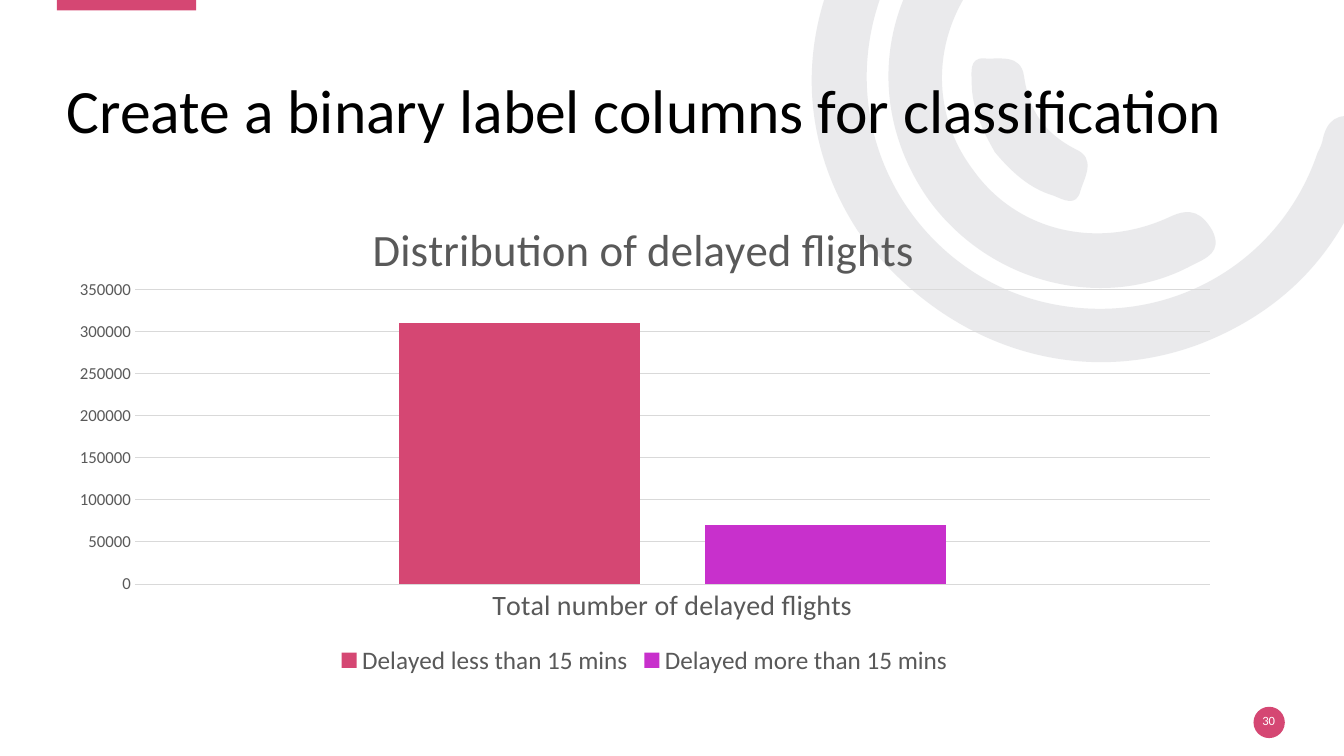
from math import cos, radians, sin

from lxml import etree
from pptx import Presentation
from pptx.chart.data import CategoryChartData
from pptx.dml.color import RGBColor
from pptx.enum.chart import XL_CHART_TYPE, XL_LEGEND_POSITION, XL_TICK_MARK
from pptx.enum.shapes import MSO_SHAPE
from pptx.enum.text import MSO_ANCHOR, PP_ALIGN
from pptx.oxml import parse_xml
from pptx.oxml.ns import nsdecls, qn
from pptx.util import Cm, Pt

COLUMNS = XL_CHART_TYPE.COLUMN_CLUSTERED
BOTTOM = XL_LEGEND_POSITION.BOTTOM
NO_TICKS = XL_TICK_MARK.NONE
RECT, OVAL = MSO_SHAPE.RECTANGLE, MSO_SHAPE.OVAL
MIDDLE = MSO_ANCHOR.MIDDLE
LEFT, CENTER = PP_ALIGN.LEFT, PP_ALIGN.CENTER

FONT = "Calibri"
PINK, PURPLE = "D54773", "C830CC"
GRAY, GRID, ARC = "595959", "D9D9D9", "D8D9DC"
CM_PER_INCH = 2.54
ARC_TURN = 144.2
CHART_W, CHART_H = 29.64, 12.4

# Frame before turning, then the turned outline: a start point and cubic
# curves (two handles and an end point), all in inches.
OUTER_ARC = (8.13, -2.02, 4.85, 6), [
    (8.51, 2.29),
    (7.99, 1.49), (7.87, 0.5), (8.38, -0.5),
    (8.9, -1.52), (9.76, -2.03), (10.9, -2.07),
    (11.05, -2.07), (11.21, -2.1), (11.31, -1.95),
    (11.44, -1.75), (11.27, -1.54), (10.98, -1.54),
    (9.67, -1.54), (8.65, -0.59), (8.6, 0.68),
    (8.56, 1.81), (9.36, 2.81), (10.46, 3.02),
    (11.6, 3.24), (12.7, 2.61), (13.07, 1.52),
    (13.09, 1.48), (13.11, 1.44), (13.12, 1.4),
    (13.16, 1.19), (13.27, 1.11), (13.49, 1.17),
    (13.73, 1.24), (13.67, 1.41), (13.61, 1.56),
    (13.34, 2.45), (12.78, 3.07), (11.91, 3.41),
    (10.7, 3.87), (9.36, 3.45), (8.51, 2.29),
]
MIDDLE_ARC = (9.01, -0.78, 2.13, 4.26), [
    (9.22, 1.99),
    (8.62, 1.15), (8.69, 0.07), (9.4, -0.68),
    (9.51, -0.79), (9.62, -0.95), (9.8, -0.78),
    (9.95, -0.64), (9.97, -0.5), (9.79, -0.32),
    (9.25, 0.26), (9.2, 1.08), (9.65, 1.68),
    (10.08, 2.29), (10.88, 2.49), (11.61, 2.15),
    (11.82, 2.05), (11.93, 2.12), (12.03, 2.29),
    (12.13, 2.5), (11.97, 2.56), (11.83, 2.63),
    (10.96, 3.1), (9.83, 2.82), (9.22, 1.99),
]
INNER_ARC = (9.8, 0.37, 0.78, 1.83), [
    (9.87, 1.51),
    (9.75, 1.3), (9.64, 1.07), (9.64, 0.82),
    (9.64, 0.73), (9.61, 0.57), (9.76, 0.58),
    (9.92, 0.59), (10.13, 0.53), (10.16, 0.76),
    (10.21, 1.1), (10.36, 1.32), (10.67, 1.48),
    (10.88, 1.57), (10.76, 1.76), (10.72, 1.89),
    (10.68, 2.06), (10.55, 1.98), (10.45, 1.94),
    (10.21, 1.87), (10.03, 1.7), (9.87, 1.51),
]


def rgb(color):
    return RGBColor.from_string(color)


def set_font(font, size, color):
    font.name, font.size, font.bold = FONT, Pt(size), False
    font.color.rgb = rgb(color)


def paint(sp, color):
    sp.shadow.inherit = False
    sp.fill.solid()
    sp.fill.fore_color.rgb = rgb(color)
    sp.line.fill.background()


def turn_back(point, frame):
    """Undo the turn about the frame's centre, measured from its corner."""
    left, top, width, height = frame
    dx, dy = point[0] - left - width / 2, point[1] - top - height / 2
    c, n = cos(radians(ARC_TURN)), sin(radians(ARC_TURN))
    x, y = width / 2 + dx * c + dy * n, height / 2 - dx * n + dy * c
    return Cm(x * CM_PER_INCH), Cm(y * CM_PER_INCH)


def add_arc(s, frame, points, opacity=53):
    local = [turn_back(point, frame) for point in points]
    builder = s.shapes.build_freeform(*local[0])
    builder.add_line_segments(local[3::3], close=True)
    sp = builder.convert_to_shape()
    box = [Cm(v * CM_PER_INCH) for v in frame]
    sp.left, sp.top, sp.width, sp.height = box
    sp.rotation = ARC_TURN
    paint(sp, ARC)
    color = sp.fill._xPr.find(qn("a:solidFill"))[0]
    etree.SubElement(color, qn("a:alpha"), val=str(opacity * 1000))

    outline = next(sp._element.iter(qn("a:path")))
    outline.set("w", str(box[2]))
    outline.set("h", str(box[3]))
    for step in list(outline):
        outline.remove(step)
    for i in range(0, len(local), 3):
        tag = "a:cubicBezTo" if i else "a:moveTo"
        step = etree.SubElement(outline, qn(tag))
        for x, y in local[max(i - 2, 0):i + 1]:
            etree.SubElement(step, qn("a:pt"), x=str(x), y=str(y))
    etree.SubElement(outline, qn("a:close"))


def add_block(s, kind, left, top, width, height):
    sp = s.shapes.add_shape(kind, Cm(left), Cm(top), Cm(width), Cm(height))
    paint(sp, PINK)
    return sp


def add_text(s, box, text, size, color, align):
    sp = s.shapes.add_textbox(*[Cm(v) for v in box])
    tf = sp.text_frame
    tf.word_wrap = True
    tf.vertical_anchor = MIDDLE
    p = tf.paragraphs[0]
    p.alignment = align
    p.line_spacing = 0.9
    r = p.add_run()
    r.text = text
    set_font(r.font, size, color)
    return tf


def chart_layout(left, top, size=()):
    """Return a manual layout for a place in the chart, in centimetres."""
    shares = (left / CHART_W, top / CHART_H)
    target = ""
    if size:
        shares += (size[0] / CHART_W, size[1] / CHART_H)
        target = '<c:layoutTarget val="inner"/>'
    values = "".join(
        f'<c:{tag} val="{share:.4f}"/>' for tag, share in zip("xywh", shares))
    return parse_xml(
        f'<c:layout {nsdecls("c")}><c:manualLayout>{target}'
        '<c:xMode val="edge"/><c:yMode val="edge"/>'
        f'{values}</c:manualLayout></c:layout>'
    )


def put_layout(parent, index, layout):
    for old in parent.findall(qn("c:layout")):
        parent.remove(old)
    parent.insert(index, layout)


def set_line(line, color):
    line.color.rgb = rgb(color)
    line.width = Pt(0.75)


def add_delay_chart(s):
    data = CategoryChartData()
    data.categories = ["Total number of delayed flights"]
    data.add_series("Delayed less than 15 mins", [310000])
    data.add_series("Delayed more than 15 mins", [70000])
    chart = s.shapes.add_chart(
        COLUMNS, Cm(1.42), Cm(4.75), Cm(CHART_W), Cm(CHART_H), data).chart
    set_font(chart.font, 10, "000000")

    chart.has_title = True
    r = chart.chart_title.text_frame.paragraphs[0].add_run()
    r.text = "Distribution of delayed flights"
    set_font(r.font, 32, GRAY)
    put_layout(chart.chart_title._element, 1, chart_layout(7.77, 0.54))

    chart.has_legend = True
    chart.legend.position = BOTTOM
    chart.legend.include_in_layout = False
    set_font(chart.legend.font, 18, GRAY)

    for axis, size in ((chart.category_axis, 20), (chart.value_axis, 12)):
        axis.major_tick_mark = axis.minor_tick_mark = NO_TICKS
        set_font(axis.tick_labels.font, size, GRAY)
    set_line(chart.category_axis.format.line, GRID)
    chart.value_axis.format.line.fill.background()
    set_line(chart.value_axis.major_gridlines.format.line, GRID)

    plot = chart.plots[0]
    plot.gap_width, plot.overlap = 219, -27
    plot.vary_by_categories = False
    for series, color in zip(plot.series, (PINK, PURPLE)):
        series.format.fill.solid()
        series.format.fill.fore_color.rgb = rgb(color)
    put_layout(chart._chartSpace.chart.plotArea, 0,
               chart_layout(1.98, 2.55, (27.09, 7.42)))


def main():
    prs = Presentation()
    prs.slide_width, prs.slide_height = Cm(33.87), Cm(19.05)
    s = prs.slides.add_slide(prs.slide_layouts[6])

    for frame, points in (OUTER_ARC, MIDDLE_ARC, INNER_ARC):
        add_arc(s, frame, points)
    add_block(s, RECT, 1.43, -0.05, 3.51, 0.31).rotation = 180
    add_block(s, OVAL, 31.59, 17.81, 0.79, 0.79)
    tf = add_text(s, (31.57, 17.93, 0.81, 0.51), "30", 9, "FFFFFF", CENTER)
    tf.margin_left = tf.margin_right = tf.margin_top = tf.margin_bottom = 0
    add_text(s, (1.43, 1.02, 30.1, 3.68),
             "Create a binary label columns for classification",
             44, "000000", LEFT)
    add_delay_chart(s)
    prs.save("out.pptx")


if __name__ == "__main__":
    main()
